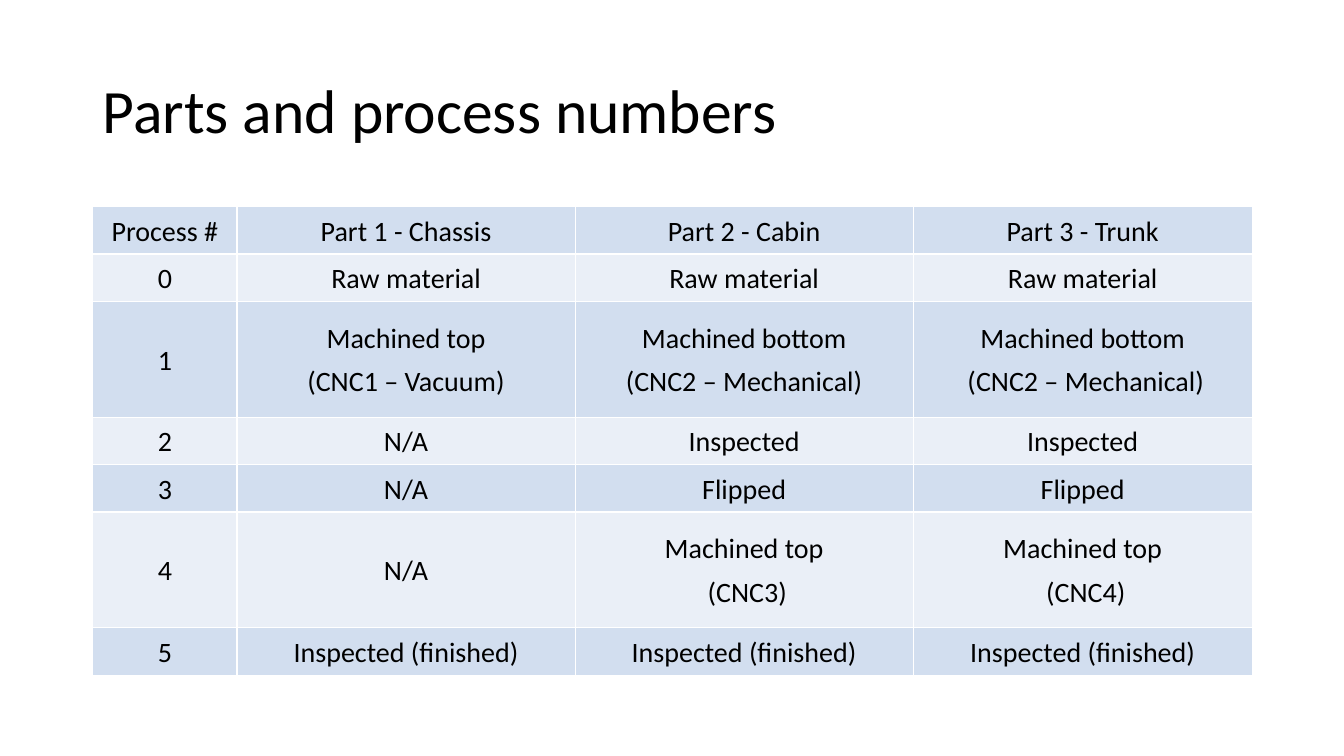
from lxml.etree import SubElement
from pptx import Presentation
from pptx.dml.color import RGBColor
from pptx.enum.text import MSO_ANCHOR as Anchor, MSO_AUTO_SIZE as AutoSize, PP_ALIGN as Align
from pptx.oxml.ns import qn
from pptx.util import Inches, Pt

FONT = "Calibri"
BLACK, WHITE = "000000", "FFFFFF"
BANDS = ("D2DEEF", "EAEFF7")
LEFT, WIDTH = 0.92, 11.5
COLUMN_WIDTHS = (1.43, 3.35, 3.35, 3.36)
LINE_ROW, DOUBLE_ROW = 0.47, 1.15
PROCESSES = (
    ("Process #", "Part 1 - Chassis", "Part 2 - Cabin", "Part 3 - Trunk"),
    ("0", "Raw material", "Raw material", "Raw material"),
    ("1", "Machined top\n(CNC1 – Vacuum)", "Machined bottom\n(CNC2 – Mechanical)",
     "Machined bottom\n (CNC2 – Mechanical)"),
    ("2", "N/A", "Inspected", "Inspected"),
    ("3", "N/A", "Flipped", "Flipped"),
    ("4", "N/A", "Machined top\n (CNC3)", "Machined top\n (CNC4)"),
    ("5", "Inspected (finished)", "Inspected (finished)", "Inspected (finished)"),
)


def color(value):
    """Turn a hex string into a colour."""
    return RGBColor.from_string(value)


def add_run(paragraph, text, size):
    """Add one black run to a paragraph."""
    run = paragraph.add_run()
    run.text = text
    run.font.name, run.font.size = FONT, Pt(size)
    run.font.color.rgb = color(BLACK)


def add_title(slide, text, left, top, width, height):
    """Place the title placeholder in its box."""
    title = slide.shapes.title
    title.left, title.top, title.width, title.height = map(Inches, (left, top, width, height))
    frame = title.text_frame
    frame.word_wrap, frame.auto_size = True, AutoSize.NONE
    frame.vertical_anchor = Anchor.MIDDLE
    heading = frame.paragraphs[0]
    heading.alignment, heading.line_spacing = Align.LEFT, 0.9
    add_run(heading, text, 44)


def add_borders(cell, value, points):
    """Draw all four sides of a cell."""
    properties = cell._tc.get_or_add_tcPr()
    for side in ("a:lnL", "a:lnR", "a:lnT", "a:lnB"):
        line = SubElement(properties, qn(side), w=str(Pt(points)))
        SubElement(SubElement(line, qn("a:solidFill")), qn("a:srgbClr"), val=value)


def fill_cell(cell, text, band):
    """Write and format one table cell."""
    add_borders(cell, WHITE, 1)
    cell.fill.solid()
    cell.fill.fore_color.rgb = color(band)
    cell.vertical_anchor = Anchor.MIDDLE
    cell.margin_left = cell.margin_right = Inches(0.07)
    cell.margin_top = cell.margin_bottom = 0
    frame = cell.text_frame
    for index, line in enumerate(text.split("\n")):
        paragraph = frame.add_paragraph() if index else frame.paragraphs[0]
        paragraph.alignment, paragraph.line_spacing = Align.CENTER, 1.07
        paragraph.space_before = paragraph.space_after = Pt(2.5)
        add_run(paragraph, line, 20)


def add_process_table(slide, left, top, width):
    """Place the process table, with taller rows for two-line entries."""
    heights = [DOUBLE_ROW if any("\n" in text for text in row) else LINE_ROW
               for row in PROCESSES]
    box = map(Inches, (left, top, width, sum(heights)))
    table = slide.shapes.add_table(len(PROCESSES), len(COLUMN_WIDTHS), *box).table
    table.first_row = table.horz_banding = False
    for column, share in zip(table.columns, COLUMN_WIDTHS):
        column.width = Inches(width * share / sum(COLUMN_WIDTHS))
    for index, (row, height, texts) in enumerate(zip(table.rows, heights, PROCESSES)):
        row.height = Inches(height)
        for cell, text in zip(row.cells, texts):
            fill_cell(cell, text, BANDS[index % 2])


def main():
    """Build and save the slide."""
    deck = Presentation()
    deck.slide_width, deck.slide_height = Inches(13.33), Inches(7.5)
    slide = deck.slides.add_slide(deck.slide_layouts.get_by_name("Title Only"))
    add_title(slide, "Parts and process numbers", LEFT, 0.4, WIDTH, 1.45)
    add_process_table(slide, LEFT, 2.05, WIDTH)
    deck.save("out.pptx")


if __name__ == "__main__":
    main()
